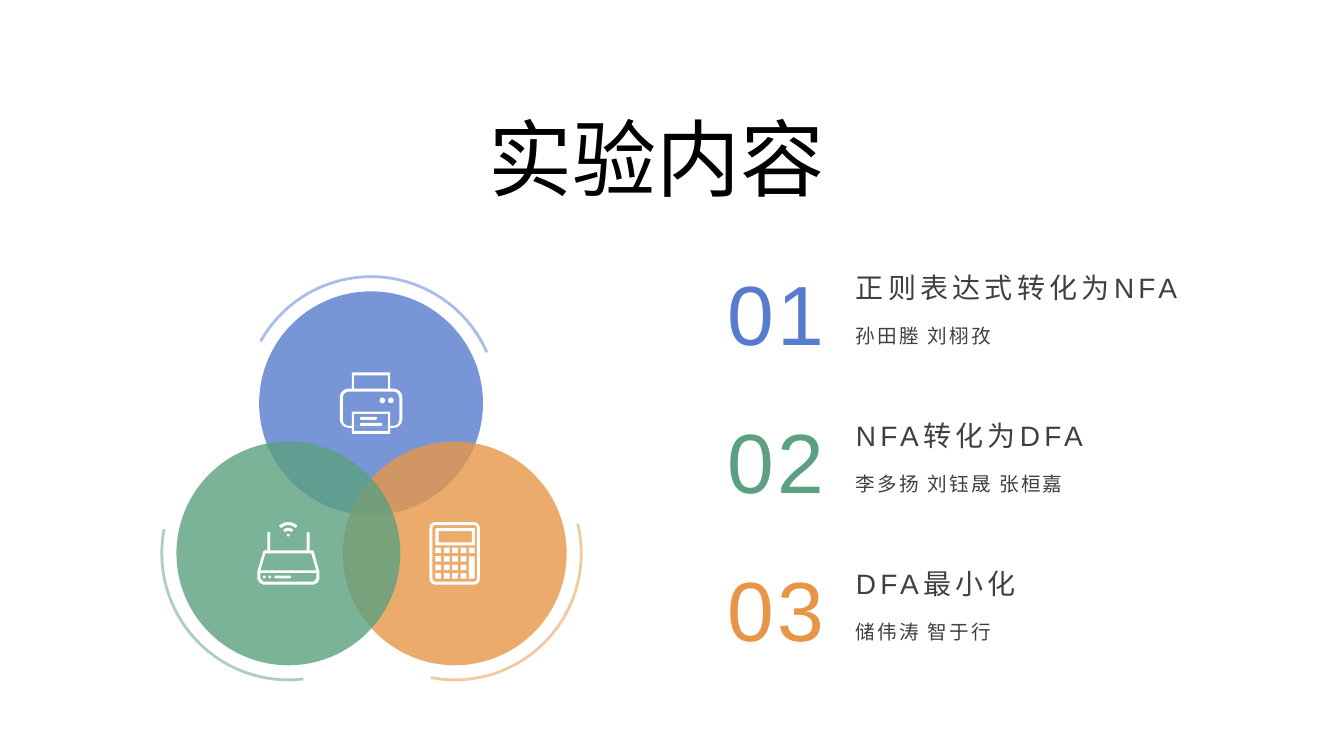
import math
from dataclasses import dataclass

from lxml import etree
from pptx import Presentation, util as u
from pptx.dml.color import RGBColor
from pptx.enum import shapes, text
from pptx.oxml.ns import qn


@dataclass(frozen=True)
class Theme:
    """Colours, font and type sizes of the deck."""
    blue: str = "577CCE"
    green: str = "5BA080"
    orange: str = "E79647"
    ink: str = "404040"
    black: str = "000000"
    white: str = "FFFFFF"
    font: str = "Arial"
    display: int = 60
    heading: int = 20
    detail: int = 14


THEME = Theme()
CIRCLE = 2.22
ARC_GAP = 0.145


def rounded(left, top, width, height, radius=0):
    """Return the outline of a rectangle with rounded corners."""
    if not radius:
        return [(left, top), (left + width, top),
                (left + width, top + height), (left, top + height)]
    right, bottom = left + width - radius, top + height - radius
    centres = [(right, bottom), (left + radius, bottom),
               (left + radius, top + radius), (right, top + radius)]
    return [(x + radius * math.cos(math.radians(quarter * 90 + step * 15)),
             y + radius * math.sin(math.radians(quarter * 90 + step * 15)))
            for quarter, (x, y) in enumerate(centres) for step in range(7)]


def signal(x, y, outer, inner):
    """Return the outline of a curved signal band."""
    angles = [math.radians(a) for a in range(225, 316, 10)]
    return ([(x + outer * math.cos(a), y + outer * math.sin(a)) for a in angles]
            + [(x + inner * math.cos(a), y + inner * math.sin(a))
               for a in reversed(angles)])


def printer():
    """Return the printer outlines in hundredths of an inch."""
    parts = [(0, 16, 62, 39, 9), (3, 19, 56, 34, 6), (12, 0, 38, 16),
             (14, 3, 34, 13), (12, 39, 38, 14), (12, 55, 38, 6),
             (14, 41, 34, 17), (39.5, 25, 5.5, 5.5, 2.75),
             (48, 25, 5.5, 5.5, 2.75), (20, 44, 17, 3, 1.5),
             (20, 50, 22, 3, 1.5)]
    return [rounded(*part) for part in parts]


def calculator():
    """Return the calculator outlines in hundredths of an inch."""
    parts = [(0, 0, 50, 62, 6), (3, 3, 44, 56, 3),
             (6, 6, 39, 17), (9, 9, 33, 11), (39.2, 34, 5.6, 22)]
    parts += [(6 + col * 8.3, 25.3 + row * 8.4, 5.6, 5.6)
              for row in range(4) for col in range(5) if col < 4 or row == 0]
    return [rounded(*part) for part in parts]


def router():
    """Return the router outlines in hundredths of an inch."""
    body = [(7, 28), (55, 28), (56, 29), (61.5, 49), (61.5, 56),
            (60, 60), (56, 62), (6, 62), (2, 60), (0, 56), (0, 49), (6, 29)]
    top = [(8, 31), (53.5, 31), (58.5, 48), (3, 48)]
    front = [(3, 50.5), (58.5, 50.5), (58.5, 56), (56, 59), (6, 59), (3, 56)]
    parts = [(10, 10, 2.8, 18, 1), (49, 10, 2.8, 18, 1),
             (5.5, 53, 2.8, 2.8, 1.4), (11, 53, 2.8, 2.8, 1.4),
             (17, 53, 16.5, 2.8, 1.4), (29.3, 11.5, 2.8, 2.8, 1.4)]
    return ([body, top, front] + [rounded(*part) for part in parts]
            + [signal(30.75, 13, 13, 10), signal(30.75, 13, 7.3, 4.3)])


def add_icon(page, outlines, center_x, center_y):
    """Draw outlines as one white shape centred on a point."""
    paths = [[(u.Inches(x / 100), u.Inches(y / 100)) for x, y in outline]
             for outline in outlines]
    points = [point for outline in paths for point in outline]
    width, height = (max(axis) for axis in zip(*points))
    builder = page.shapes.build_freeform(*paths[0][0], scale=1.0)
    builder.add_line_segments(paths[0][1:], close=True)
    for outline in paths[1:]:
        builder.move_to(*outline[0])
        builder.add_line_segments(outline[1:], close=True)
    icon = builder.convert_to_shape(u.Inches(center_x) - width // 2,
                                    u.Inches(center_y) - height // 2)
    icon.shadow.inherit = False
    icon.fill.solid()
    icon.fill.fore_color.rgb = RGBColor.from_string(THEME.white)
    icon.line.fill.background()


def paint(fill, color, opacity):
    """Fill with a colour at an opacity in percent."""
    fill.solid()
    fill.fore_color.rgb = RGBColor.from_string(color)
    swatch = next(fill._xPr.iter(qn("a:srgbClr")))
    etree.SubElement(swatch, qn("a:alpha"), val=str(opacity * 1000))


def add_disc(page, left, top, color, start, end):
    """Draw one translucent circle with its outer arc."""
    disc = page.shapes.add_shape(
        shapes.MSO_SHAPE.OVAL, u.Inches(left), u.Inches(top),
        u.Inches(CIRCLE), u.Inches(CIRCLE))
    disc.shadow.inherit = False
    paint(disc.fill, color, 80)
    disc.line.fill.background()
    size = CIRCLE + 2 * ARC_GAP
    arc = page.shapes.add_shape(
        shapes.MSO_SHAPE.ARC, u.Inches(left - ARC_GAP), u.Inches(top - ARC_GAP),
        u.Inches(size), u.Inches(size))
    arc.shadow.inherit = False
    arc.adjustments[0], arc.adjustments[1] = start, end
    arc.fill.background()
    arc.line.width = u.Pt(2)
    paint(arc.line.fill, color, 50)


def add_venn(page, left, top):
    """Draw the three overlapping circles and their icons."""
    discs = [(0.82, 0, THEME.blue, 125.58, 201.78, printer),
             (1.65, 1.49, THEME.orange, 207.93, 60.48, calculator),
             (0, 1.49, THEME.green, 49.89, 114.63, router)]
    for x, y, color, start, end, _ in discs:
        add_disc(page, left + x, top + y, color, start, end)
    for x, y, _, _, _, icon in discs:
        add_icon(page, icon(), left + x + CIRCLE / 2, top + y + CIRCLE / 2)


def add_text(page, left, top, width, height, words, size, color, spacing=0):
    """Add a wrapped line of text and return its box."""
    box = page.shapes.add_textbox(u.Inches(left), u.Inches(top),
                                  u.Inches(width), u.Inches(height))
    box.text_frame.word_wrap = True
    box.text_frame.text = words
    span = box.text_frame.paragraphs[0].runs[0]
    span.font.name = THEME.font
    span.font.size = u.Pt(size)
    span.font.color.rgb = RGBColor.from_string(color)
    if spacing:
        span._r.get_or_add_rPr().set("spc", str(int(spacing * 100)))
    return box


def add_entry(page, left, top, number, color, heading, names):
    """Place a numbered topic with its heading and members."""
    detail = add_text(page, left + 1.32, top + 0.56, 3.68, 0.72, names,
                      THEME.detail, THEME.ink, 1.5)
    title = add_text(page, left + 1.32, top, 3.68, 0.53, heading,
                     THEME.heading, THEME.ink, 3)
    for box in (detail, title):
        box.text_frame.paragraphs[0].line_spacing = 1.3
    frame = add_text(page, left, top, 1.25, 1.13, number,
                     THEME.display, color, 3).text_frame
    frame.margin_left = frame.margin_right = 0
    frame.margin_top = frame.margin_bottom = 0
    frame.vertical_anchor = text.MSO_ANCHOR.MIDDLE
    frame.paragraphs[0].alignment = text.PP_ALIGN.CENTER


def add_agenda(page, left, top):
    """Stack the three topics at equal distances."""
    topics = [(THEME.blue, "正则表达式转化为NFA", "孙田塍 刘栩孜"),
              (THEME.green, "NFA转化为DFA", "李多扬 刘钰晟 张桓嘉"),
              (THEME.orange, "DFA最小化", "储伟涛 智于行")]
    for index, topic in enumerate(topics):
        add_entry(page, left, top + index * 1.47, f"{index + 1:02}", *topic)


def main():
    """Build and save the deck."""
    deck = Presentation()
    deck.slide_width, deck.slide_height = u.Inches(13.33), u.Inches(7.5)
    page = deck.slides.add_slide(deck.slide_layouts[6])
    add_agenda(page, 7.07, 2.53)
    add_venn(page, 1.75, 2.89)
    add_text(page, 4.75, 1.01, 4.44, 1.11, "实验内容", THEME.display, THEME.black)
    deck.save("out.pptx")


if __name__ == "__main__":
    main()
